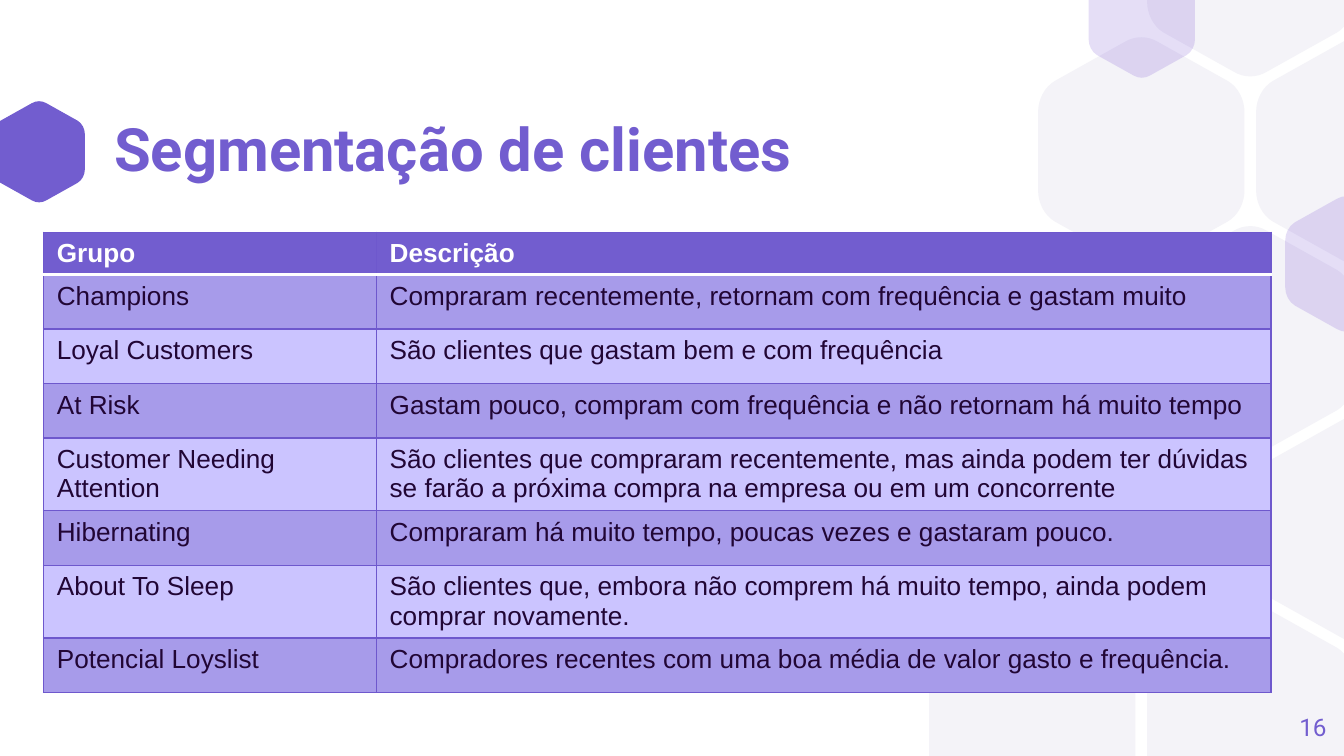
from lxml import etree
from pptx import Presentation
from pptx.dml.color import RGBColor
from pptx.enum import text
from pptx.oxml import ns
from pptx.util import Cm, Pt

PURPLE = RGBColor(0x72, 0x5D, 0xCF)
GREY = RGBColor(0xF4, 0xF3, 0xF8)
ACCENT = RGBColor(0x53, 0x22, 0xC9)
BORDER = RGBColor(0x6E, 0x58, 0xCD)
DARK_ROW = RGBColor(0xA7, 0x9B, 0xEA)
LIGHT_ROW = RGBColor(0xCB, 0xC4, 0xFF)
INK = RGBColor(0x21, 0x06, 0x35)
WHITE = RGBColor(0xFF, 0xFF, 0xFF)

SLIDE_WIDTH, SLIDE_HEIGHT = 25.4, 14.29

# Honeycomb in the background: (column, row), columns are half a hexagon apart
HONEYCOMB = [(0, 4), (2, 4), (3, 1), (2, 0), (2, 2), (1, 1), (3, 3)]
# Translucent hexagons: centre x, centre y, width
ACCENTS = [(25.45, 4.99, 2.32), (21.58, 0.36, 2.01)]

ROWS = [
    ("Grupo", "Descrição"),
    ("Champions", "Compraram recentemente, retornam com frequência e gastam muito"),
    ("Loyal Customers", "São clientes que gastam bem e com frequência"),
    ("At Risk", "Gastam pouco, compram com frequência e não retornam há muito tempo"),
    ("Customer Needing Attention",
     "São clientes que compraram recentemente, mas ainda podem ter dúvidas "
     "se farão a próxima compra na empresa ou em um concorrente"),
    ("Hibernating", "Compraram há muito tempo, poucas vezes e gastaram pouco."),
    ("About To Sleep",
     "São clientes que, embora não comprem há muito tempo, ainda podem comprar novamente."),
    ("Potencial Loyslist",
     "Compradores recentes com uma boa média de valor gasto e frequência."),
]


def hexagon_corners():
    """Six corner curves of a rounded hexagon of width 1 around the origin."""
    side = [(0.5, -0.19), (0.5, -0.25), (0.47, -0.31), (0.42, -0.34)]
    tip = [(0.08, -0.53), (0.03, -0.56), (-0.03, -0.56), (-0.08, -0.53)]
    half = [side, tip, [(-x, y) for x, y in reversed(side)]]
    return half + [[(-x, -y) for x, y in corner] for corner in half]


def place_corner(corner, center_x, center_y, width):
    """Corner on the slide; one beyond the top or bottom edge becomes a point."""
    points = [(center_x + x * width, min(max(center_y + y * width, 0), SLIDE_HEIGHT))
              for x, y in corner]
    if len({y for x, y in points}) == 1 and points[0][1] in (0, SLIDE_HEIGHT):
        points = [max(points, key=lambda point: abs(point[0] - center_x))]
    return [(Cm(x), Cm(y)) for x, y in points]


def round_corners(shape, corners):
    """Turn the three segments of each corner into one curve."""
    commands = list(shape._element.find(".//" + ns.qn("a:path")))
    start = 0
    for corner in corners:
        if len(corner) == 4:
            first, *others = commands[start + 1:start + 4]
            first.tag = ns.qn("a:cubicBezTo")
            for command in others:
                first.append(command[0])
                command.getparent().remove(command)
        start += len(corner)


def add_hexagon(slide, center_x, center_y, width, color, alpha=None):
    corners = [place_corner(corner, center_x, center_y, width)
               for corner in hexagon_corners()]
    points = [point for corner in corners for point in corner]
    builder = slide.shapes.build_freeform(*points[0])
    builder.add_line_segments(points[1:], close=True)
    shape = builder.convert_to_shape()
    round_corners(shape, corners)
    shape.shadow.inherit = False
    shape.fill.solid()
    shape.fill.fore_color.rgb = color
    shape.line.fill.background()
    if alpha is not None:
        fill = shape._element.spPr.find(ns.qn("a:solidFill"))
        etree.SubElement(fill[0], ns.qn("a:alpha"), val=str(alpha * 1000))


def format_runs(paragraph, size, font, color, bold=False):
    for run in paragraph.runs:
        run.font.size = Pt(size)
        run.font.name = font
        run.font.bold = bold
        run.font.color.rgb = color


def add_label(slide, box, words, size, bold=False, align=text.PP_ALIGN.LEFT):
    shape = slide.shapes.add_textbox(*(Cm(value) for value in box))
    frame = shape.text_frame
    frame.word_wrap = True
    frame.vertical_anchor = text.MSO_ANCHOR.MIDDLE
    frame.margin_left = frame.margin_right = frame.margin_top = frame.margin_bottom = 0
    frame.text = words
    paragraph = frame.paragraphs[0]
    paragraph.alignment = align
    format_runs(paragraph, size, "Roboto", PURPLE, bold)
    return paragraph


def set_border(cell, side, color, width):
    line = etree.Element(ns.qn(f"a:ln{side}"), w=str(Pt(width)))
    fill = etree.SubElement(line, ns.qn("a:solidFill"))
    etree.SubElement(fill, ns.qn("a:srgbClr"), val=str(color))
    properties = cell._tc.get_or_add_tcPr()
    properties.insert(len(properties.findall(ns.qn("a:ln*"))), line)


def format_cell(cell, row_index):
    is_header = row_index == 0
    cell.margin_bottom = Cm(0.06)
    # Borders come before the fill; the rule below the header is white
    for side in "BTRL":
        if is_header and side == "B":
            set_border(cell, side, WHITE, 2)
        elif (row_index, side) != (1, "T"):
            set_border(cell, side, BORDER, 0.75)
    cell.fill.solid()
    if is_header:
        cell.fill.fore_color.rgb = PURPLE
    else:
        cell.fill.fore_color.rgb = DARK_ROW if row_index % 2 else LIGHT_ROW
    format_runs(cell.text_frame.paragraphs[0], 14, "Arial",
                WHITE if is_header else INK, is_header)


def add_segment_table(slide):
    frame = slide.shapes.add_table(len(ROWS), 2, Cm(0.82), Cm(4.39), Cm(23.2), Cm(8.01))
    table = frame.table
    table.columns[0].width = Cm(6.29)
    table.columns[1].width = Cm(16.91)
    for row_index, values in enumerate(ROWS):
        table.rows[row_index].height = Cm(1.03 if row_index else 0.8)
        for column_index, value in enumerate(values):
            cell = table.cell(row_index, column_index)
            cell.text = value
            format_cell(cell, row_index)


def main():
    presentation = Presentation()
    presentation.slide_width = Cm(SLIDE_WIDTH)
    presentation.slide_height = Cm(SLIDE_HEIGHT)
    slide = presentation.slides.add_slide(presentation.slide_layouts[6])

    # Background hexagons
    add_hexagon(slide, 0.74, 2.87, 1.73, PURPLE)
    for column, row in HONEYCOMB:
        add_hexagon(slide, 19.51 + 2.06 * column, -0.71 + 3.57 * row, 3.9, GREY)
    for center_x, center_y, width in ACCENTS:
        add_hexagon(slide, center_x, center_y, width, ACCENT, alpha=15)

    # Title and slide number
    title = add_label(slide, (2.16, 2.33, 16.69, 1.09), "Segmentação de clientes", 32, bold=True)
    title.line_spacing = 0.9
    add_label(slide, (23.55, 13.2, 1.52, 1.09), "16", 13, align=text.PP_ALIGN.RIGHT)

    # Customer groups
    add_segment_table(slide)

    presentation.save("out.pptx")


if __name__ == "__main__":
    main()
